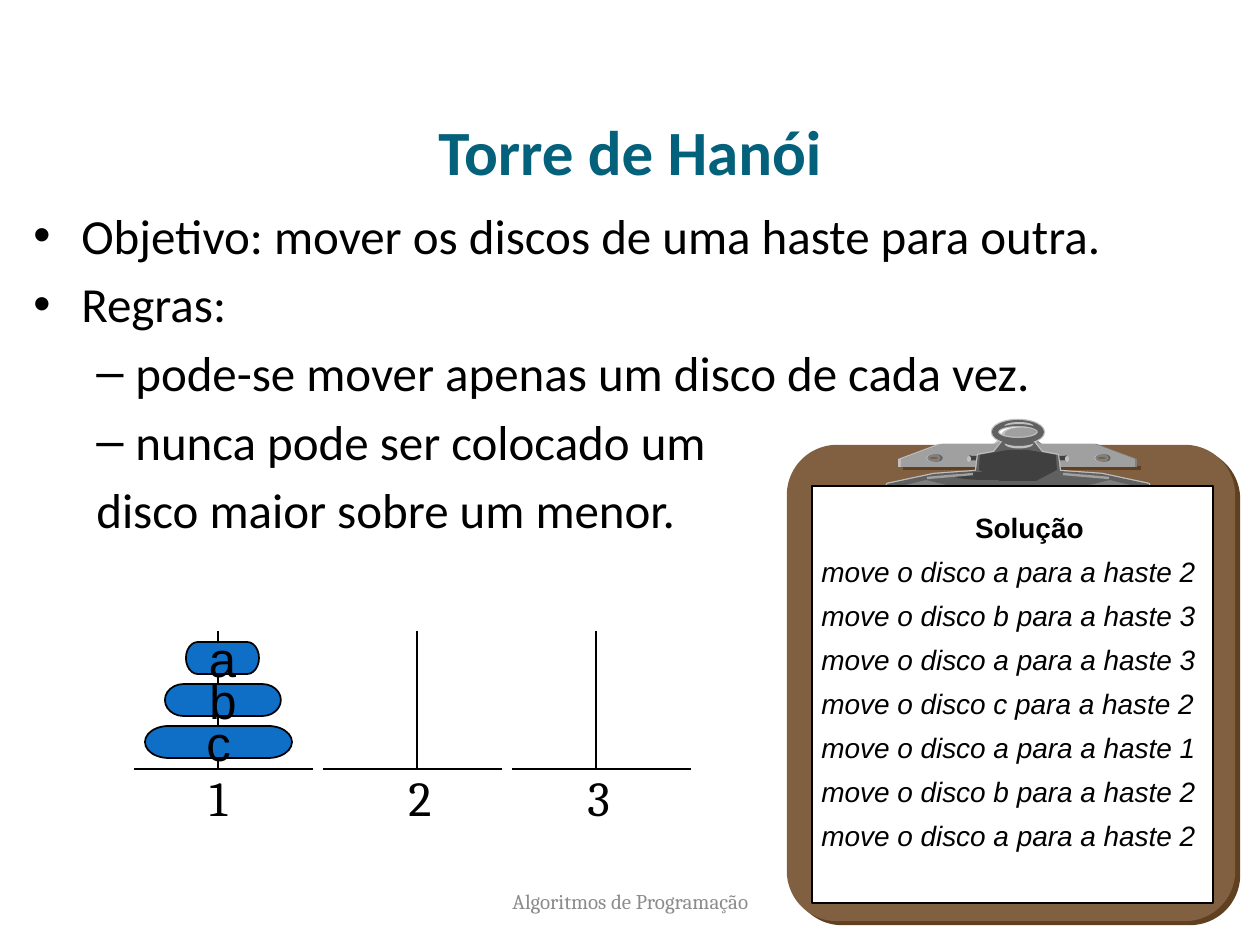
"""Build the Torre de Hanói slide with its rods, discs and clipboard."""
import lxml.etree
import pptx
import pptx.dml.color
import pptx.enum.shapes
import pptx.enum.text
import pptx.oxml.ns
import pptx.shapes.connector
import pptx.util

PX = pptx.util.Inches(1) / 126
KINDS = pptx.enum.shapes.MSO_SHAPE
STRAIGHT = pptx.enum.shapes.MSO_CONNECTOR.STRAIGHT
ALIGN = pptx.enum.text.PP_ALIGN
ANCHOR = pptx.enum.text.MSO_ANCHOR
BLACK, WHITE, BLUE, TEAL = "000000", "FFFFFF", "0F6FC6", "04617B"
WOOD, DARK_WOOD = "806040", "604020"
SILVER, STEEL, GREY, IRON, COAL = "C0C0C0", "A0A0A0", "808080", "606060", "404040"
colour = pptx.dml.color.RGBColor.from_string


def paint(shape, fill=None, line=None, width=1.38):
    if not isinstance(shape, pptx.shapes.connector.Connector):
        if fill:
            shape.fill.solid()
            shape.fill.fore_color.rgb = colour(fill)
        else:
            shape.fill.background()
    if line:
        shape.line.color.rgb = colour(line)
        shape.line.width = pptx.util.Pt(width)
    else:
        shape.line.fill.background()
    lxml.etree.SubElement(shape._element.spPr, pptx.oxml.ns.qn("a:effectLst"))


def write(box, lines, font, size, ink=BLACK, align=ALIGN.LEFT, wrap=True, before=0):
    frame = box.text_frame
    frame.word_wrap = wrap
    frame.text = "\n".join(lines)
    for para in frame.paragraphs:
        para.alignment = align
        para.space_before = pptx.util.Pt(before)
        para.font.name = font
        para.font.size = pptx.util.Pt(size)
        para.font.color.rgb = colour(ink)
    return frame


deck = pptx.Presentation()
deck.slide_width = pptx.util.Inches(10)
deck.slide_height = pptx.util.Inches(7.5)
page = deck.slides.add_slide(deck.slide_layouts[6])

footer = page.shapes.add_textbox(*[round(n * PX) for n in (431, 876, 399, 50)])
write(footer, ["Algoritmos de Programação"], "Cambria", 12, "8C8C8C",
      ALIGN.CENTER).vertical_anchor = ANCHOR.MIDDLE

rules = [
    ("Objetivo: mover os discos de uma haste para outra.", 0, 48, -48, "•"),
    ("Regras:", 0, 48, -48, "•"),
    ("pode-se mover apenas um disco de cada vez.", 1, 102, -39, "–"),
    ("nunca pode ser colocado um", 1, 102, -39, "–"),
    ("disco maior sobre um menor.", 1, 63, 0, None),
]
body = page.shapes.add_textbox(*[round(n * PX) for n in (21, 199, 1212, 147)])
frame = write(body, [rule[0] for rule in rules], "Calibri", 28, before=5.6)
for para, (_, level, margin, indent, mark) in zip(frame.paragraphs, rules):
    para.level = level
    props = para._p.get_or_add_pPr()
    props.set("marL", str(round(margin * PX)))
    props.set("indent", str(round(indent * PX)))
    if mark:
        run_defaults = props[-1]
        for tag, key, value in [("a:buFont", "typeface", "Arial"), ("a:buChar", "char", mark)]:
            run_defaults.addprevious(
                lxml.etree.Element(pptx.oxml.ns.qn(tag), {key: value}))

ROD_TOP, GROUND, BASE_WIDTH, BASE_STEP = 631, 769, 179, 189
rods = page.shapes.add_group_shape().shapes
for index, rod in enumerate([218, 417, 596]):
    base = 134 + index * BASE_STEP
    for ends in [(rod, ROD_TOP, rod, GROUND), (base, GROUND, base + BASE_WIDTH, GROUND)]:
        paint(rods.add_connector(STRAIGHT, *[round(n * PX) for n in ends]),
              line=BLACK, width=1)
    label = rods.add_textbox(*[round(n * PX) for n in (rod - 21, GROUND - 8, 50, 72)])
    write(label, [str(index + 1)], "Cambria", 28, wrap=False)
for row, (name, left, width) in enumerate([("a", 186, 73), ("b", 165, 116), ("c", 145, 147)]):
    disc = rods.add_shape(KINDS.FLOWCHART_TERMINATOR,
                          *[round(n * PX) for n in (left, 642 + 42 * row, width, 32)])
    paint(disc, BLUE, BLACK, 1)
    write(disc, [name], "Arial", 28, align=ALIGN.CENTER,
          wrap=False).vertical_anchor = ANCHOR.MIDDLE

clipboard = page.shapes.add_group_shape().shapes
for left, top, wood in [(793, 450, DARK_WOOD), (788, 446, WOOD)]:
    board = clipboard.add_shape(KINDS.ROUNDED_RECTANGLE,
                                *[round(n * PX) for n in (left, top, 446, 474)])
    board.adjustments[0] = 0.11
    paint(board, wood, wood)

AXIS = 1018
SIDES = (-1, 1)
plate_half = [(13, 437), (22, 444), (77, 444), (117, 459), (117, 467)]
wing_half = [(16, 442), (24, 452), (40, 455), (42, 471), (84, 474), (131, 484), (131, 489)]
jaw_half = [(10, 450), (38, 455), (39, 470), (18, 481)]

metal = [(KINDS.RECTANGLE, (4, 468, 238, 4), 0, DARK_WOOD, None)]
for shift, tone in [(2, GREY), (-3, SILVER), (0, STEEL)]:
    metal.append((None, [(x + shift, y) for x, y in plate_half], shift, tone, None))
    metal.append((KINDS.OVAL, (3 + shift, 435, 33, 15), 0, tone, None))
for side in SIDES:
    for shift, fill, line in [(-1, SILVER, SILVER), (2, IRON, IRON), (0, WOOD, GREY)]:
        metal.append((KINDS.OVAL, (84 * side + shift, 458, 11, 5), 0, fill, line))
    for drop, tone in [(1, GREY), (0, COAL)]:
        metal.append((KINDS.RECTANGLE, (41 * side, 458 + drop, 16, 4), 0, tone, None))
        metal.append((KINDS.ISOSCELES_TRIANGLE, (46 * side, 458 + drop, 6, 5),
                      -90 * side, tone, None))
    metal.append((KINDS.OVAL, (49 * side, 459, 4, 6), 0, SILVER, None))
for fill, line in [(None, SILVER), (IRON, None)]:
    metal.append((None, wing_half, 0, fill, line))
    metal.append((KINDS.DONUT, (0, 432, 52, 24), 0, fill, line))
metal += [
    (KINDS.MOON, (1, 424, 4, 29), 90, SILVER, None),
    (KINDS.MOON, (1, 446, 5, 29), 270, SILVER, None),
    (KINDS.OVAL, (-32, 476, 64, 8), 0, COAL, None),
    (None, jaw_half, 0, COAL, None),
]
for side in SIDES:
    metal.append((KINDS.ISOSCELES_TRIANGLE, (92 * side, 484, 64, 8), 0, GREY, None))

for kind, place, turn, fill, line in metal:
    if kind:
        middle, centre, width, height = place
        box = (AXIS + middle - width / 2, centre - height / 2, width, height)
        piece = clipboard.add_shape(kind, *[round(n * PX) for n in box])
        piece.rotation = turn
    else:
        shift = turn
        right = [(AXIS + x, y) for x, y in place]
        left = [(2 * (AXIS + shift) - x, y) for x, y in reversed(right)]
        pen = clipboard.build_freeform(*right[0], scale=PX)
        pen.add_line_segments(right[1:] + left)
        piece = pen.convert_to_shape()
    paint(piece, fill, line)

for side in SIDES:
    shine = (AXIS + 45 * side, 474, AXIS + 91 * side, 478)
    paint(clipboard.add_connector(STRAIGHT, *[round(n * PX) for n in shine]), line=STEEL)
sheet = clipboard.add_shape(KINDS.RECTANGLE, *[round(n * PX) for n in (812, 486, 401, 417)])
paint(sheet, WHITE, BLACK, 1)

moves = ["a2", "b3", "a3", "c2", "a1", "b2", "a2"]
steps = [f"move o disco {disc} para a haste {rod}" for disc, rod in moves]
solution = page.shapes.add_textbox(*[round(n * PX) for n in (809, 504, 441, 355)])
heading, *rest = write(solution, ["Solução"] + steps, "Arial", 16, before=6).paragraphs
heading.alignment = ALIGN.CENTER
heading.font.bold = True
for para in rest:
    para.font.italic = True

title = page.shapes.add_textbox(*[round(n * PX) for n in (63, 106, 1134, 117)])
write(title, ["Torre de Hanói"], "Calibri", 36, TEAL,
      ALIGN.CENTER).paragraphs[0].font.bold = True

deck.save("out.pptx")
